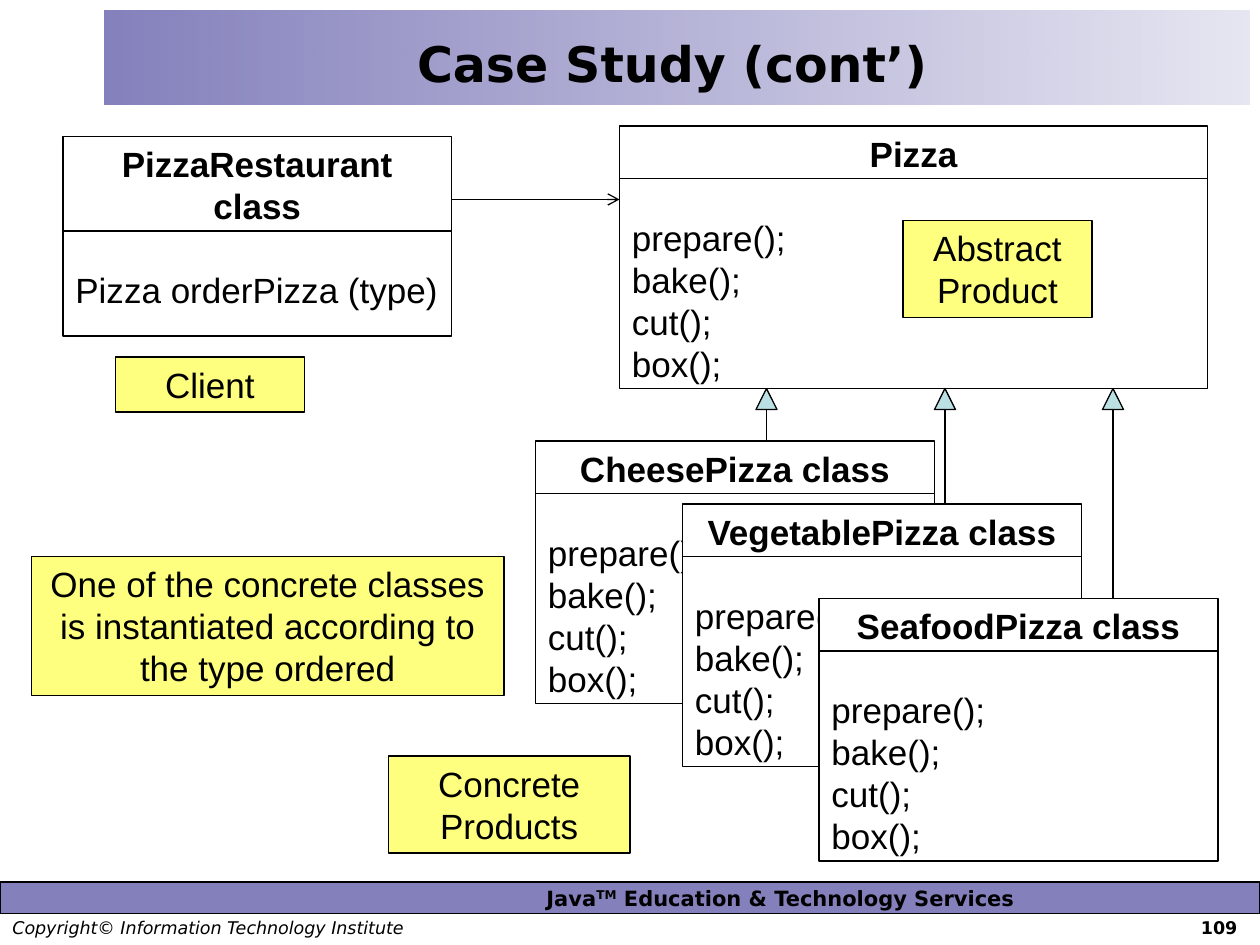
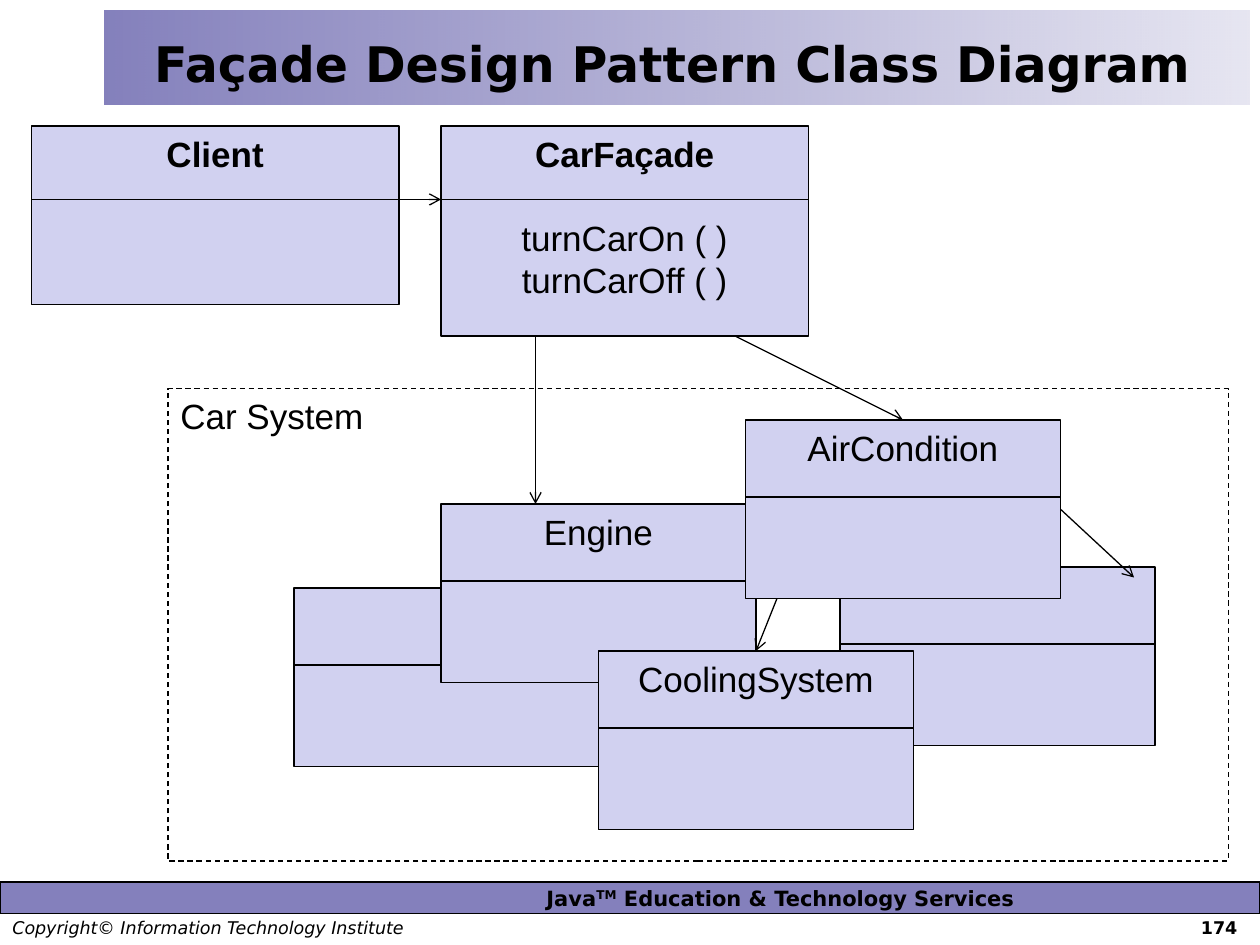
from dataclasses import dataclass
from typing import NamedTuple, Optional

from lxml.etree import SubElement
from pptx import Presentation
from pptx.dml.color import RGBColor
from pptx.enum.dml import MSO_LINE
from pptx.enum.shapes import MSO_CONNECTOR, MSO_SHAPE
from pptx.enum.text import MSO_ANCHOR, PP_ALIGN
from pptx.oxml.ns import qn
from pptx.util import Pt


@dataclass(frozen=True)
class Theme:
    black: RGBColor = RGBColor.from_string("000000")
    white: RGBColor = RGBColor.from_string("FFFFFF")
    purple: RGBColor = RGBColor.from_string("5B56A6")
    lavender: RGBColor = RGBColor.from_string("D1D1F0")
    yellow: RGBColor = RGBColor.from_string("FFFF00")
    pale_teal: RGBColor = RGBColor.from_string("BBE0E3")
    heading_font: str = "DejaVu Sans"
    diagram_font: str = "Arial"
    title_size: float = 28
    diagram_size: float = 20
    band_size: float = 12
    footer_size: float = 10
    line_width: float = 0.75
    diagram_line_height: float = 24


THEME = Theme()


class Box(NamedTuple):
    """A place on the slide, in points."""
    left: float
    top: float
    width: float
    height: float

    def lengths(self) -> list:
        return [Pt(value) for value in self]


class Arrow(NamedTuple):
    start_x: float
    start_y: float
    end_x: float
    end_y: float


@dataclass(frozen=True)
class ClassBox:
    """A UML class; divider is the distance from its top to the rule."""
    box: Box
    divider: float
    name: str = ""
    methods: tuple = ()
    fill: Optional[RGBColor] = THEME.lavender
    preset: MSO_SHAPE = MSO_SHAPE.RECTANGLE
    bold_name: bool = False
    method_alignment: PP_ALIGN = PP_ALIGN.CENTER


@dataclass(frozen=True)
class Note:
    left: float
    top: float
    width: float
    lines: int
    text: str


def pizza_class(box: Box, name: str, methods: tuple = ("prepare();", "bake();", "cut();", "box();"),
                divider: float = 30, fill: Optional[RGBColor] = THEME.white) -> ClassBox:
    return ClassBox(box, divider, name, methods, fill, MSO_SHAPE.FLOWCHART_PROCESS,
                    True, PP_ALIGN.LEFT)


def concrete_pizza(left: float, top: float, name: str) -> ClassBox:
    return pizza_class(Box(left, top, 228, 150), name)


def car_part(left: float, top: float, name: str = "") -> ClassBox:
    return ClassBox(Box(left, top, 180, 102), 44, name)


PIZZA_CLASSES = [
    concrete_pizza(306, 252, "CheesePizza class"),
    pizza_class(Box(354, 72, 336, 150), "Pizza", fill=None),
    concrete_pizza(390, 288, "VegetablePizza class"),
    concrete_pizza(468, 342, "SeafoodPizza class"),
    pizza_class(Box(36, 78, 222, 114), "PizzaRestaurant class",
                ("Pizza orderPizza (type)",), 54, None),
]
PIZZA_BOTTOM = 222
INHERITANCE_STARTS = [(438, 252), (540, 288), (636, 342)]
PIZZA_NOTES = [
    Note(66, 204, 108, 1, "Client"),
    Note(516, 126, 108, 2, "Abstract Product"),
    Note(222, 432, 138, 2, "Concrete Products"),
    Note(18, 318, 270, 3,
         "One of the concrete classes is instantiated according to the type ordered"),
]
CAR_CLASSES = [
    car_part(480, 324),
    ClassBox(Box(252, 72, 210, 120), 42, "CarFaçade",
             ("turnCarOn ( )", "turnCarOff ( )"), bold_name=True),
    ClassBox(Box(18, 72, 210, 102), 42, "Client", bold_name=True),
    car_part(168, 336),
    car_part(252, 288, "Engine"),
    car_part(342, 372, "CoolingSystem"),
    car_part(426, 240, "AirCondition"),
]
CAR_ARROWS = [
    Arrow(228, 114, 252, 114),
    Arrow(420, 192, 516, 240),
    Arrow(306, 192, 306, 288),
    Arrow(444, 342, 432, 372),
    Arrow(606, 291, 648, 330),
]


def set_opacity(shape, *percentages: int) -> None:
    """Give each colour of the shape's fill its opacity, in order."""
    colors = shape._element.spPr.iter(qn("a:srgbClr"))
    for color, percentage in zip(list(colors), percentages):
        SubElement(color, qn("a:alpha")).set("val", str(percentage * 1000))


def format_font(font, size: float, name: str = THEME.diagram_font,
                bold: bool = False, italic: bool = False) -> None:
    font.size, font.name = Pt(size), name
    font.bold, font.italic = bold, italic
    font.color.rgb = THEME.black


def add_shape(shapes, preset: MSO_SHAPE, box: Box, fill: Optional[RGBColor],
              opacity: int = 100, outlined: bool = True):
    shape = shapes.add_shape(preset, *box.lengths())
    shape.shadow.inherit = False
    if fill is None:
        shape.fill.background()
    else:
        shape.fill.solid()
        shape.fill.fore_color.rgb = fill
        if opacity < 100:
            set_opacity(shape, opacity)
    if outlined:
        shape.line.color.rgb = THEME.black
        shape.line.width = Pt(THEME.line_width)
    else:
        shape.line.fill.background()
    shape.text_frame.word_wrap = True
    shape.text_frame.vertical_anchor = MSO_ANCHOR.TOP
    return shape


def add_line(shapes, line: Arrow, arrowhead: bool = True) -> None:
    connector = shapes.add_connector(MSO_CONNECTOR.STRAIGHT, *(Pt(value) for value in line))
    connector.line.color.rgb = THEME.black
    connector.line.width = Pt(THEME.line_width)
    properties = connector._element.spPr
    if arrowhead:
        SubElement(properties.find(qn("a:ln")), qn("a:tailEnd")).set("type", "arrow")
    SubElement(properties, qn("a:effectLst"))


def add_class(slide, item: ClassBox) -> None:
    shapes = slide.shapes.add_group_shape().shapes
    shape = add_shape(shapes, item.preset, item.box, item.fill)
    if item.name:
        text_frame = shape.text_frame
        text_frame.text = "\n".join((item.name, *item.methods))
        for index, paragraph in enumerate(text_frame.paragraphs):
            is_name = index == 0
            paragraph.alignment = PP_ALIGN.CENTER if is_name else item.method_alignment
            if index == 1:
                paragraph.space_before = Pt(THEME.diagram_line_height)
            format_font(paragraph.runs[0].font, THEME.diagram_size,
                        bold=is_name and item.bold_name)
    left, top, width, _ = item.box
    rule_y = top + item.divider
    add_line(shapes, Arrow(left, rule_y, left + width, rule_y), arrowhead=False)


def add_label(shape, text: str, alignment: PP_ALIGN) -> None:
    shape.text_frame.text = text
    paragraph = shape.text_frame.paragraphs[0]
    paragraph.alignment = alignment
    format_font(paragraph.runs[0].font, THEME.diagram_size)


def add_note(slide, note: Note) -> None:
    height = note.lines * THEME.diagram_line_height + 7.5
    shape = add_shape(slide.shapes, MSO_SHAPE.RECTANGLE,
                      Box(note.left, note.top, note.width, height), THEME.yellow, 50)
    add_label(shape, note.text, PP_ALIGN.CENTER)


def add_footer(slide, page: str) -> None:
    band = add_shape(slide.shapes, MSO_SHAPE.RECTANGLE, Box(0, 504, 720, 18), THEME.purple, 75)
    text_frame = band.text_frame
    text_frame.vertical_anchor = MSO_ANCHOR.MIDDLE
    text_frame.margin_left, text_frame.margin_right = Pt(172), Pt(0)
    text_frame.margin_top = text_frame.margin_bottom = Pt(0)
    paragraph = text_frame.paragraphs[0]
    paragraph.alignment = PP_ALIGN.CENTER
    for text in ("Java", "TM", " Education & Technology Services"):
        run = paragraph.add_run()
        run.text = text
        format_font(run.font, THEME.band_size, THEME.heading_font, bold=True)
        if text == "TM":
            run._r.get_or_add_rPr().set("baseline", "30000")

    footer = slide.shapes.add_textbox(*Box(0, 520.5, 720, 19.5).lengths())
    footer.text_frame.word_wrap = True
    paragraph = footer.text_frame.paragraphs[0]
    tabs = SubElement(paragraph._p.get_or_add_pPr(), qn("a:tabLst"))
    tab = SubElement(tabs, qn("a:tab"))
    tab.set("pos", str(Pt(700)))
    tab.set("algn", "r")
    for text, is_page in (("Copyright© Information Technology Institute\t", False), (page, True)):
        run = paragraph.add_run()
        run.text = text
        format_font(run.font, THEME.footer_size, THEME.heading_font, is_page, not is_page)


def add_title(slide, title: str) -> None:
    band = add_shape(slide.shapes, MSO_SHAPE.RECTANGLE, Box(59.5, 6, 654.5, 54), None,
                     outlined=False)
    band.fill.gradient()
    band.fill.gradient_angle = 0
    for stop in band.fill.gradient_stops:
        stop.color.rgb = THEME.purple
    set_opacity(band, 75, 15)

    heading = slide.shapes.add_textbox(*Box(60, 12, 648, 48).lengths())
    text_frame = heading.text_frame
    text_frame.word_wrap = True
    text_frame.vertical_anchor = MSO_ANCHOR.MIDDLE
    text_frame.text = title
    paragraph = text_frame.paragraphs[0]
    paragraph.alignment = PP_ALIGN.CENTER
    format_font(paragraph.runs[0].font, THEME.title_size, THEME.heading_font, bold=True)


def add_base_slide(presentation, title: str, page: str):
    slide = presentation.slides.add_slide(presentation.slide_layouts[6])
    add_footer(slide, page)
    add_title(slide, title)
    return slide


def build_case_study(presentation) -> None:
    slide = add_base_slide(presentation, "Case Study (cont’)", "109")
    for item in PIZZA_CLASSES:
        add_class(slide, item)
    add_line(slide.shapes, Arrow(258, 114, 354, 114))
    for x, y in INHERITANCE_STARTS:
        add_line(slide.shapes, Arrow(x, y, x, PIZZA_BOTTOM))
        add_shape(slide.shapes, MSO_SHAPE.ISOSCELES_TRIANGLE,
                  Box(x - 6, PIZZA_BOTTOM, 12, 12), THEME.pale_teal)
    for note in PIZZA_NOTES:
        add_note(slide, note)


def build_facade_diagram(presentation) -> None:
    slide = add_base_slide(presentation, "Façade Design Pattern Class Diagram", "174")
    system = add_shape(slide.shapes, MSO_SHAPE.RECTANGLE, Box(96, 222, 606, 270), THEME.white)
    system.line.dash_style = MSO_LINE.DASH
    add_label(system, "Car System", PP_ALIGN.LEFT)
    for item in CAR_CLASSES:
        add_class(slide, item)
    for arrow in CAR_ARROWS:
        add_line(slide.shapes, arrow)


def main() -> None:
    presentation = Presentation()
    presentation.slide_width, presentation.slide_height = Pt(720), Pt(540)
    build_case_study(presentation)
    build_facade_diagram(presentation)
    presentation.save("out.pptx")


if __name__ == "__main__":
    main()
